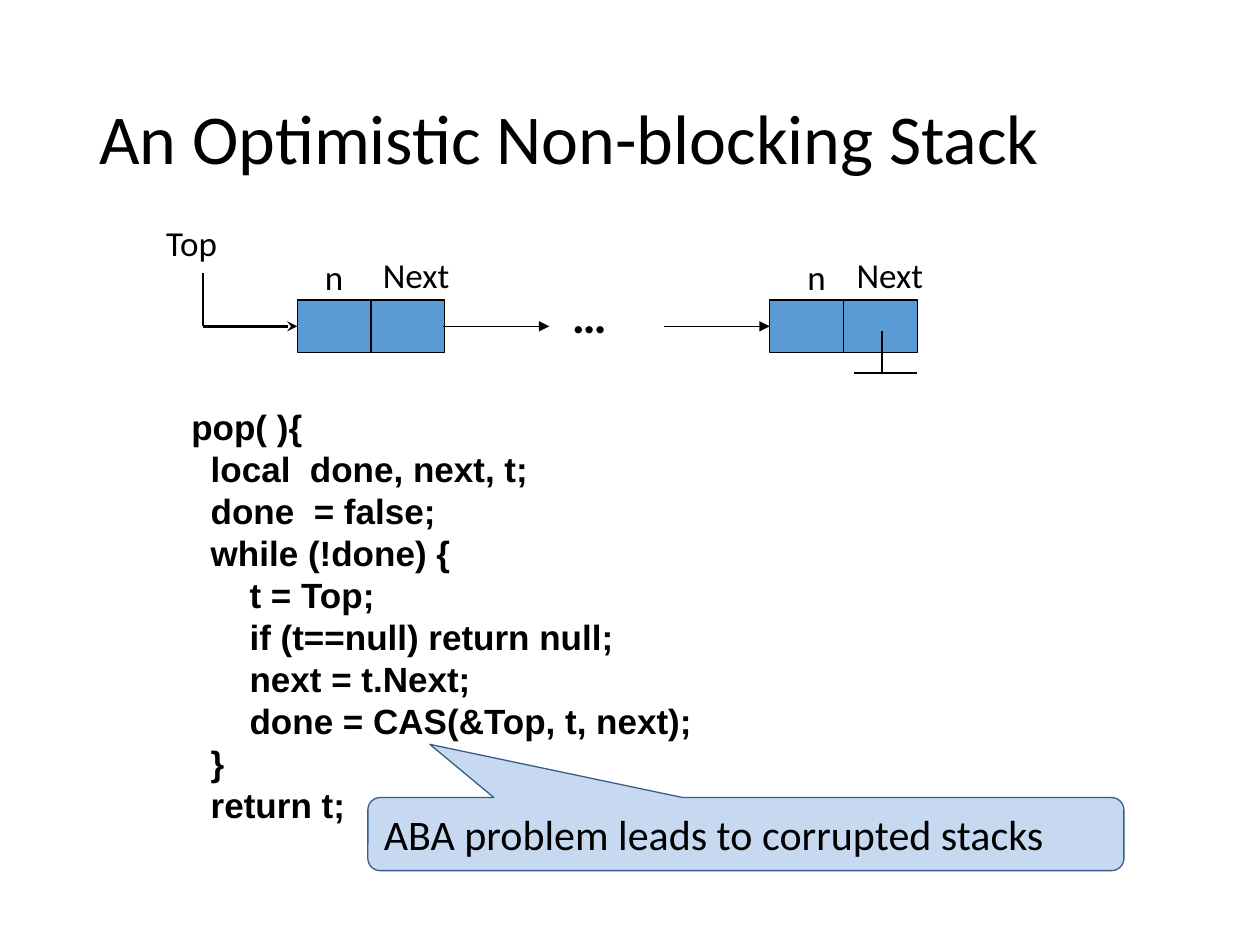
from pptx import Presentation, util as u
from pptx.dml.color import RGBColor
from pptx.enum import shapes, text
from pptx.oxml.ns import qn
from lxml import etree

COLORS = {"ink": "000000", "cell": "5B9BD5", "callout": "C6D9F1", "edge": "385D8A"}
CELL_W, CELL_H, CELL_TOP = 0.585, 0.42, 2.38
AXIS = 2.59  # height of the pointers between nodes
CODE = """pop( ){
  local  done, next, t;
  done  = false;
  while (!done) {
      t = Top;
      if (t==null) return null;
      next = t.Next;
      done = CAS(&Top, t, next);
  }
  return t;"""


def rgb(name):
    return RGBColor.from_string(COLORS[name])


def write(s, lines, size, font="Calibri", bold=False, middle=False, **paragraph_format):
    tf = s.text_frame
    tf.word_wrap = True
    tf.vertical_anchor = text.MSO_ANCHOR.MIDDLE if middle else text.MSO_ANCHOR.TOP
    for i, line in enumerate(lines):
        p = tf.paragraphs[0] if i == 0 else tf.add_paragraph()
        p.alignment = text.PP_ALIGN.LEFT
        for name, value in paragraph_format.items():
            setattr(p, name, value)
        r = p.add_run()
        r.text = line
        for name, value in {"size": u.Pt(size), "name": font, "bold": bold}.items():
            setattr(r.font, name, value)
        r.font.color.rgb = rgb("ink")


def add_text(sp, box, lines, size, **style):
    s = sp.add_textbox(*map(u.Inches, box))
    write(s, lines, size, **style)


def add_box(sp, kind, box, fill, line, width):
    s = sp.add_shape(kind, *map(u.Inches, box))
    s.shadow.inherit = False
    s.fill.solid()
    s.fill.fore_color.rgb = rgb(fill)
    s.line.color.rgb = rgb(line)
    s.line.width = u.Pt(width)
    return s


def add_line(sp, start, end, width, head=None):
    s = sp.add_connector(shapes.MSO_CONNECTOR.STRAIGHT, *map(u.Inches, start + end))
    s.line.color.rgb = rgb("ink")
    s.line.width = u.Pt(width)
    if head:
        etree.SubElement(s.line._get_or_add_ln(), qn("a:tailEnd"), type=head)
    etree.SubElement(s._element.spPr, qn("a:effectLst"))


def add_node(sp, left):
    """Draw a stack node: a value cell and a Next cell."""
    for i in range(2):
        box = (left + i * CELL_W, CELL_TOP, CELL_W, CELL_H)
        add_box(sp, shapes.MSO_SHAPE.RECTANGLE, box, "cell", "ink", 0.75)


def add_node_labels(sp, n_left, next_left):
    add_text(sp, (n_left, 1.98, 0.58, 0.43), ["n"], 20)
    add_text(sp, (next_left, 1.96, 0.9, 0.44), ["Next"], 20)


def add_callout(sp):
    s = add_box(sp, shapes.MSO_SHAPE.ROUNDED_RECTANGULAR_CALLOUT,
                (2.92, 6.33, 6, 0.58), "callout", "edge", 0)
    for i, value in enumerate((-0.418, -1.229, 0.167)):
        s.adjustments[i] = value
    write(s, ["ABA problem leads to corrupted stacks"], 24, middle=True)


def add_stack(sp):
    for left, n_left, next_left in ((2.36, 2.48, 2.94), (6.11, 6.31, 6.7)):
        add_node(sp, left)
        add_node_labels(sp, n_left, next_left)
    for start in (3.52, 5.27):
        add_line(sp, (start, AXIS), (start + 0.84, AXIS), 0.75, "triangle")
    add_text(sp, (4.44, 2.21, 0.92, 0.57), ["…"], 28, bold=True)
    # Null pointer of the last node
    add_line(sp, (7, 2.63), (7, 2.96), 1.5)
    add_line(sp, (6.78, 2.96), (7.28, 2.96), 1.5)
    # Top pointer
    add_line(sp, (1.61, 2.17), (1.61, AXIS), 1.5)
    add_line(sp, (1.61, AXIS), (2.36, AXIS), 1.5, "stealth")
    add_text(sp, (1.22, 1.71, 0.83, 0.43), ["Top"], 20)


def main():
    prs = Presentation()
    prs.slide_width, prs.slide_height = u.Inches(10), u.Inches(7.5)
    sp = prs.slides.add_slide(prs.slide_layouts[6]).shapes
    add_text(sp, (0.69, 0.4, 8.62, 1.45), ["An Optimistic Non-blocking Stack"], 40,
             middle=True, line_spacing=0.9)
    add_callout(sp)
    add_stack(sp)
    add_text(sp, (1.42, 3.17, 5.33, 3.93), CODE.splitlines(), 20,
             font="Arial", bold=True, line_spacing=u.Pt(24))
    prs.save("out.pptx")


if __name__ == "__main__":
    main()
